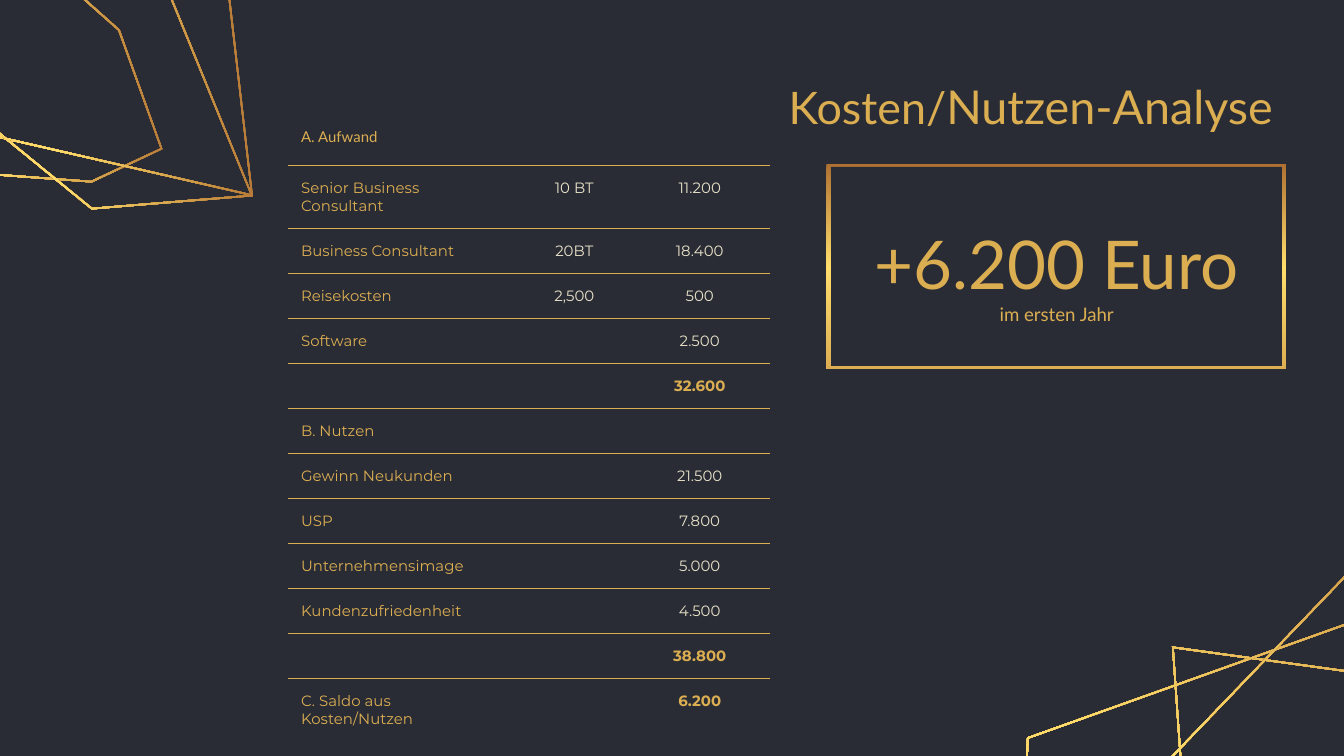
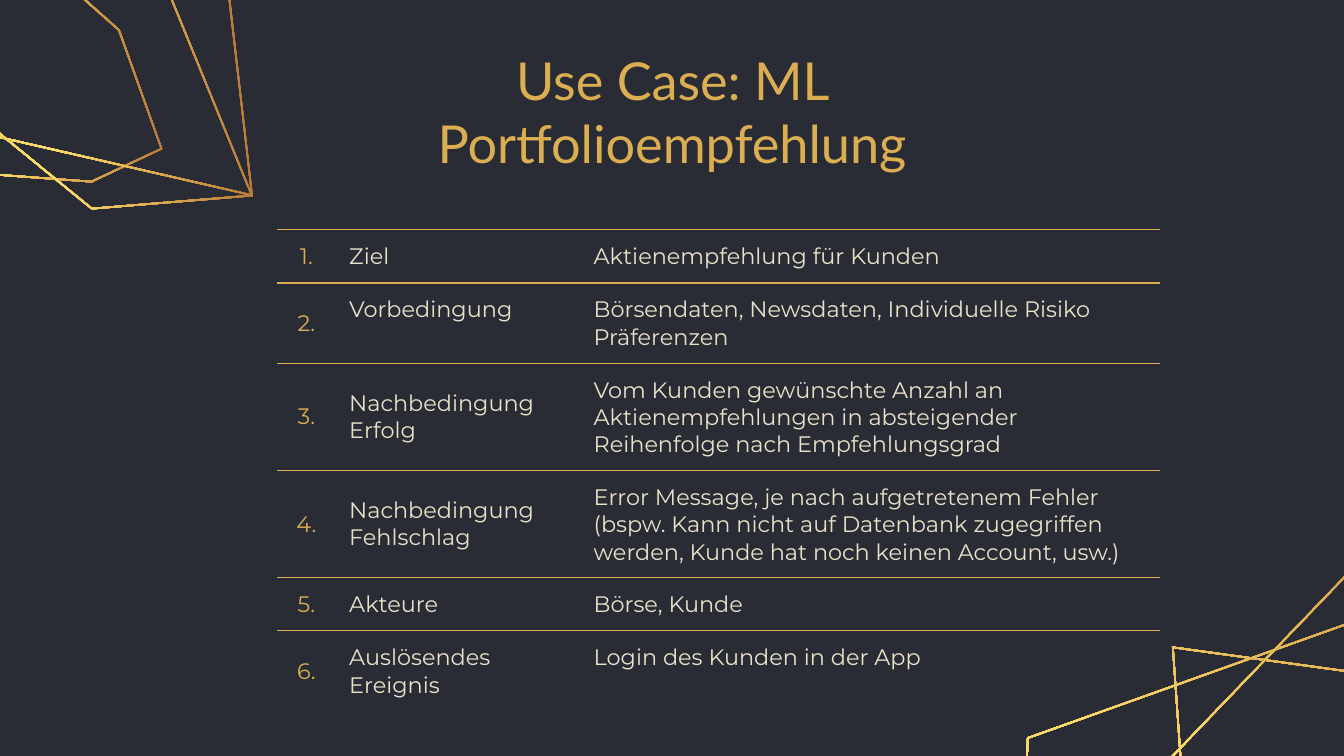
from dataclasses import dataclass
from math import cos, hypot, radians, sin

from lxml import etree
from pptx import Presentation
from pptx import util as u
from pptx.dml.color import RGBColor
from pptx.enum import text as t
from pptx.oxml import parse_xml
from pptx.oxml.ns import nsdecls, qn


@dataclass(frozen=True)
class Theme:
    """Hold the colours, fonts and type sizes."""
    dark: str = "292C35"
    gold: str = "DCAE52"
    cream: str = "E9E2C9"
    fade: tuple = ((0, "AF7132"), (50, "FFDD6B"), (100, "DCAE52"))
    head: str = "Lato"
    body: str = "Montserrat"
    title: int = 28
    big: int = 36
    note: int = 10
    cost: int = 8
    case: int = 12
    rule: float = 0.75
    wire: float = 0.03
    pad: float = 0.25


T = Theme()
LEFT, MID, RIGHT = t.PP_ALIGN.LEFT, t.PP_ALIGN.CENTER, t.PP_ALIGN.RIGHT
TOP, HALF = t.MSO_ANCHOR.TOP, t.MSO_ANCHOR.MIDDLE

WIRES = [
    (25.2, [(22.78, 21.21), (22.15, 12.22), (33.22, 13.74), (31.22, 18.01)]),
    (85.2, [(-3.91, -1.12), (-1.14, -2.46), (2.26, 0.56), (3.07, 2.82),
            (1.73, 3.45), (-2.74, 3.12)]),
    (85.2, [(-2.82, 0.25), (-1.8, -1.78), (4.34, -0.1), (4.78, 3.71),
            (-0.66, 2.46)]),
    (85.2, [(-2.82, 0.25), (2.03, -3.02), (4.78, 3.71), (1.73, 3.96)]),
    (23.8, [(19.2, 18.64), (19.41, 13.94), (25.93, 11.61), (29.54, 12.17),
            (29.44, 14.45), (25.73, 20.17)]),
    (23.8, [(21.29, 20.07), (19.3, 17.25), (26.06, 10.21), (31.45, 12.45),
            (25.83, 18.8)]),
]

COSTS = [
    ("A. Aufwand", "", ""),
    ("Senior Business Consultant", "10 BT", "11.200"),
    ("Business Consultant", "20BT", "18.400"),
    ("Reisekosten", "2,500", "500"),
    ("Software", "", "2.500"),
    ("", "", "32.600"),
    ("B. Nutzen", "", ""),
    ("Gewinn Neukunden", "", "21.500"),
    ("USP", "", "7.800"),
    ("Unternehmensimage", "", "5.000"),
    ("Kundenzufriedenheit", "", "4.500"),
    ("", "", "38.800"),
    ("C. Saldo aus Kosten/Nutzen", "", "6.200"),
]
SUMS = {"32.600", "38.800", "6.200"}

CASE = [
    ("Ziel", "Aktienempfehlung für Kunden"),
    ("Vorbedingung",
     "Börsendaten, Newsdaten, Individuelle Risiko Präferenzen"),
    ("Nachbedingung Erfolg",
     "Vom Kunden gewünschte Anzahl an Aktienempfehlungen in absteigender "
     "Reihenfolge nach Empfehlungsgrad"),
    ("Nachbedingung Fehlschlag",
     "Error Message, je nach aufgetretenem Fehler (bspw. Kann nicht auf "
     "Datenbank zugegriffen werden, Kunde hat noch keinen Account, usw.)"),
    ("Akteure", "Börse, Kunde"),
    ("Auslösendes Ereignis", "Login des Kunden in der App"),
]


def put(item, **form):
    """Set each attribute of an item from the given values."""
    for key, val in form.items():
        setattr(item, key, val)


def write(para, word, size, face=T.head, tint=T.gold, bold=False):
    """Add one formatted run to a paragraph."""
    run = para.add_run()
    run.text = word
    put(run.font, size=u.Pt(size), name=face, bold=bold)
    run.font.color.rgb = RGBColor.from_string(tint)


def pads():
    """Give the four equal insets of a box or cell."""
    sides = ("left", "top", "right", "bottom")
    return {f"margin_{side}": u.Cm(T.pad) for side in sides}


def label(slide, box, lines, align):
    """Add a text box; each line is a list of (text, size) runs."""
    frame = slide.shapes.add_textbox(*map(u.Cm, box)).text_frame
    put(frame, word_wrap=True, vertical_anchor=HALF, **pads())
    for num, runs in enumerate(lines):
        para = frame.add_paragraph() if num else frame.paragraphs[0]
        para.alignment = align
        for word, size in runs:
            write(para, word, size)


def turn(point, angle):
    """Rotate a point about the origin."""
    x, y = point
    c, s = cos(radians(angle)), sin(radians(angle))
    return x * c - y * s, x * s + y * c


def inset(points, gap):
    """Move the sides of a clockwise outline inwards."""
    ends = points[1:] + points[:1]
    norms = []
    for (x, y), (p, q) in zip(points, ends):
        size = hypot(p - x, q - y)
        norms.append(((y - q) / size, (p - x) / size))
    inner = []
    for num, (x, y) in enumerate(points):
        (a, b), (c, d) = norms[num - 1], norms[num]
        step = gap / (1 + a * c + b * d)
        inner.append((x + (a + c) * step, y + (b + d) * step))
    return inner


def ring(slide, outer, inner, angle=0):
    """Draw a gradient band between two outlines, its axis turned by angle."""
    flat = [turn(p, -angle) for p in outer]
    hole = [turn(p, -angle) for p in reversed(inner)]
    paths = [[(u.Cm(x), u.Cm(y)) for x, y in part] for part in (flat, hole)]
    pen = slide.shapes.build_freeform(*paths[0][0])
    pen.add_line_segments(paths[0][1:], close=True)
    pen.move_to(*paths[1][0])
    pen.add_line_segments(paths[1][1:], close=True)
    band = pen.convert_to_shape()
    x, y = turn((band.left + band.width / 2, band.top + band.height / 2), angle)
    put(band, left=int(x - band.width / 2), top=int(y - band.height / 2),
        rotation=angle)
    band.shadow.inherit = False
    band.line.fill.background()
    stops = "".join(
        f'<a:gs pos="{pos * 1000}"><a:srgbClr val="{tint}"/></a:gs>'
        for pos, tint in T.fade)
    band._element.spPr.find(qn("a:custGeom")).addnext(parse_xml(
        f'<a:gradFill {nsdecls("a")} rotWithShape="1"><a:gsLst>{stops}</a:gsLst>'
        '<a:lin ang="5400000" scaled="0"/></a:gradFill>'))


def edge(cell, shown):
    """Draw the named cell borders and hide the others."""
    props = cell._tc.get_or_add_tcPr()
    for num, side in enumerate("LRTB"):
        line = etree.Element(qn(f"a:ln{side}"))
        if side in shown:
            line.set("w", str(u.Pt(T.rule)))
            fill = etree.SubElement(line, qn("a:solidFill"))
            etree.SubElement(fill, qn("a:srgbClr")).set("val", T.gold)
        else:
            etree.SubElement(line, qn("a:noFill"))
        props.insert(num, line)


def grid(slide, spot, cols, highs, rows, size, style, lid):
    """Add a ruled table; style(row, col) gives alignment, anchor and font."""
    frame = slide.shapes.add_table(len(rows), len(cols), *map(
        u.Cm, (*spot, sum(cols), sum(highs))))
    table = frame.table
    put(table, first_row=False, horz_banding=False)
    for col, wide in zip(table.columns, cols):
        col.width = u.Cm(wide)
    for row, high in zip(table.rows, highs):
        row.height = u.Cm(high)
    for r, row in enumerate(rows):
        shown = ("T" if r or lid else "") + ("B" if r < len(rows) - 1 else "")
        for c, word in enumerate(row):
            cell = table.cell(r, c)
            align, anchor, font = style(r, c)
            put(cell, vertical_anchor=anchor, **pads())
            cell.fill.background()
            edge(cell, shown)
            para = cell.text_frame.paragraphs[0]
            para.alignment = align
            if word:
                write(para, word, size, **font)
            para._p.get_or_add_endParaRPr().set("sz", str(size * 100))


def cost(r, c):
    """Style a cell of the cost table."""
    total = COSTS[r][c] in SUMS
    tint = T.gold if total or c == 0 else T.cream
    face = T.head if r == 0 else T.body
    return MID if c else LEFT, TOP, dict(face=face, tint=tint, bold=total)


def case(r, c):
    """Style a cell of the use case table."""
    mid = c == 0 or (c == 1 and CASE[r][0].startswith("Nachbedingung"))
    tint = T.cream if c else T.gold
    return (LEFT if c else MID, HALF if mid else TOP,
            dict(face=T.body, tint=tint))


def page(deck):
    """Add a dark slide with the gold wires in its corners."""
    slide = deck.slides.add_slide(deck.slide_layouts[6])
    fill = slide.background.fill
    fill.solid()
    fill.fore_color.rgb = RGBColor.from_string(T.dark)
    for angle, points in WIRES:
        ring(slide, points, inset(points, T.wire), angle)
    return slide


def box(x, y, p, q):
    """List the corners of a rectangle clockwise."""
    return [(x, y), (p, y), (p, q), (x, q)]


def main():
    """Build both slides and save the deck."""
    deck = Presentation()
    put(deck, slide_width=u.Cm(25.4), slide_height=u.Cm(14.29))

    slide = page(deck)
    grid(slide, (5.44, 2.16), (4.37, 2.09, 2.65), [0.97] + [0.85] * 12,
         COSTS, T.cost, cost, lid=False)
    label(slide, (10, 1.4, 14.3, 1.19),
          [[("Kosten/", 24), ("Nutzen-Analyse", 25)]], RIGHT)
    label(slide, (15.62, 4.14, 8.7, 2.06),
          [[("+6.200 Euro", T.big)], [("im ersten Jahr", T.note)]], MID)
    ring(slide, box(15.62, 3.1, 24.31, 6.98), box(15.7, 3.15, 24.23, 6.93))

    slide = page(deck)
    label(slide, (5.23, 1.5, 14.94, 1.19),
          [[("Use Case: ML Portfolioempfehlung", T.title)]], MID)
    rows = [(f"{num}.", *row) for num, row in enumerate(CASE, 1)]
    grid(slide, (5.23, 4.34), (1.12, 4.62, 10.95), [0.97] * len(rows),
         rows, T.case, case, lid=True)
    deck.save("out.pptx")


if __name__ == "__main__":
    main()
